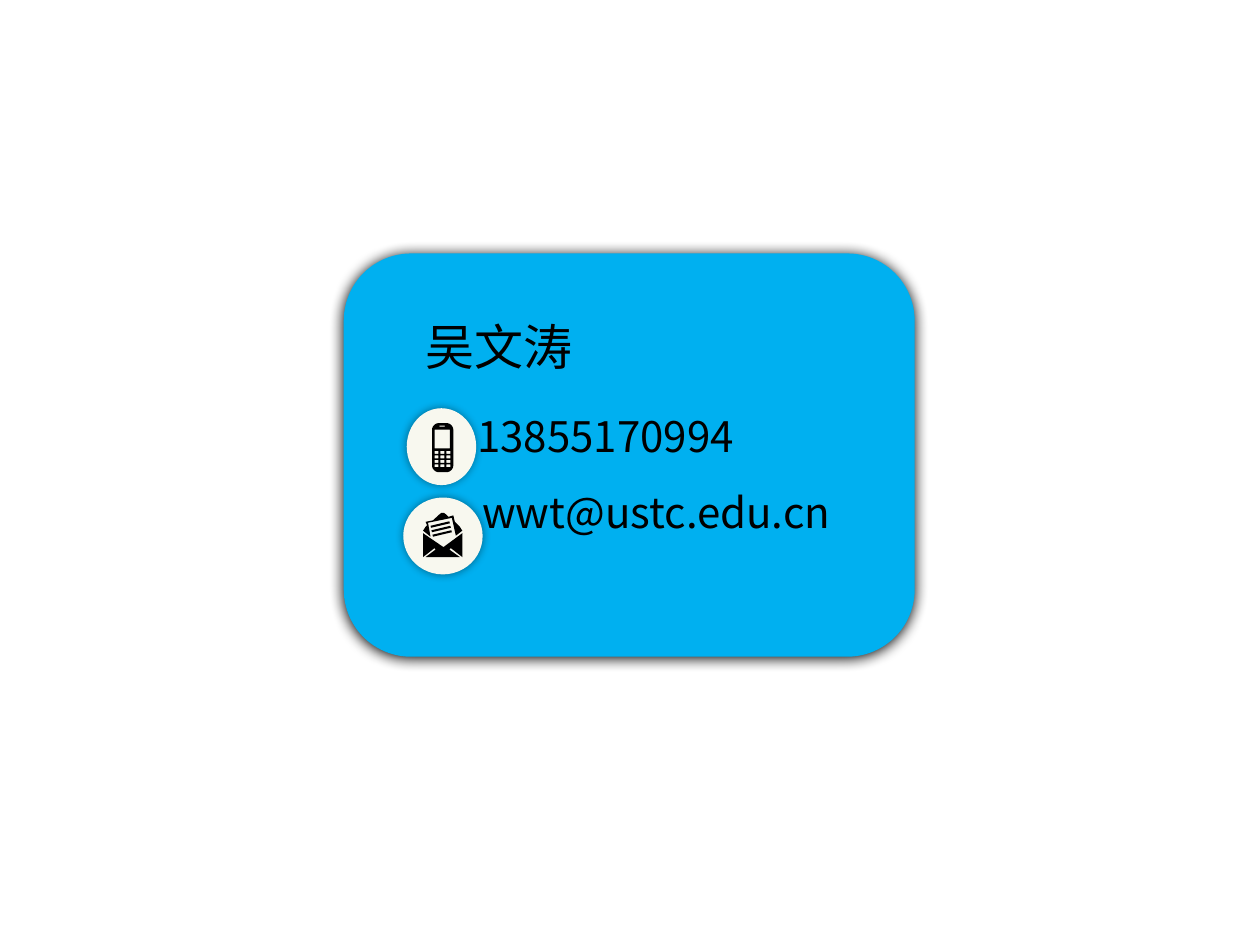
from dataclasses import dataclass
from math import cos, pi, sin

from lxml.etree import SubElement
from pptx import Presentation
from pptx.dml.color import RGBColor as Rgb
from pptx.enum.shapes import MSO_SHAPE as Preset
from pptx.enum.text import MSO_ANCHOR as Anchor, MSO_AUTO_SIZE as AutoSize, PP_ALIGN as Align
from pptx.oxml.ns import qn
from pptx.util import Cm, Pt


@dataclass(frozen=True)
class Theme:
    font: str = "Noto Sans CJK SC"
    card: str = "00B0F0"
    badge: str = "F8F8EF"
    ink: str = "000000"
    name_size: int = 28
    contact_size: int = 24


THEME = Theme()
SLIDE_SIZE = (25.4, 19.05)
CARD = (6.93, 5.11, 11.51, 8.13)
CARD_SHADOW = {"alpha": 100, "blur": 8.5, "distance": 1, "angle": 90}
BADGE_SHADOW = {"alpha": 40, "blur": 5, "distance": 0, "angle": 0}
DETAILS = (8.33, 5.82, 9.12, 6.35)
LINES = [
    {"text": "吴文涛", "size": THEME.name_size, "before": 0, "left": 0},
    {"text": "13855170994", "size": THEME.contact_size, "before": 20, "left": 1.04},
    {"text": "wwt@ustc.edu.cn", "size": THEME.contact_size, "before": 14.5, "left": 1.14},
]

ENVELOPE_FRONT = [
    (0.41, 0.69), (0.79, 0.41), (0.79, 0.89), (0.56, 0.71), (0.53, 0.74), (0.74, 0.89),
    (0.05, 0.89), (0.25, 0.74), (0.23, 0.71), (0, 0.89), (0, 0.41),
]
ENVELOPE_BACK = [
    (0.74, 0.28), (0.64, 0.18), (0.61, 0.05), (0.51, 0.08), (0.46, 0.03), (0.42, 0),
    (0.37, 0), (0.33, 0.03), (0.2, 0.15), (0.05, 0.18), (0.08, 0.25), (0.05, 0.28),
    (0, 0.36), (0.15, 0.48), (0.1, 0.2), (0.58, 0.1), (0.66, 0.46), (0.79, 0.36),
]


def rectangle(left, top, width, height):
    right, bottom = left + width, top + height
    return [(left, top), (right, top), (right, bottom), (left, bottom)]


def rounded_rectangle(width, height, radius, steps=6):
    centers = [(width - radius, height - radius), (radius, height - radius),
               (radius, radius), (width - radius, radius)]
    return [
        (x + radius * cos(angle), y + radius * sin(angle))
        for corner, (x, y) in enumerate(centers)
        for angle in ((corner + step / steps) * pi / 2 for step in range(steps + 1))
    ]


def letter_line(row):
    x, y = 0.15 + 0.02 * row, 0.26 + 0.09 * row
    return [(x, y), (x + 0.01, y + 0.04), (x + 0.39, y - 0.05), (x + 0.38, y - 0.09)]


ENVELOPE = [ENVELOPE_FRONT, ENVELOPE_BACK] + [letter_line(row) for row in range(3)]
PHONE = [
    rounded_rectangle(0.43, 0.99, 0.14),
    rectangle(0.15, 0.05, 0.11, 0.02),
    rectangle(0.05, 0.13, 0.31, 0.38),
] + [
    rectangle(0.05 + 0.12 * column, 0.56 + 0.09 * row, 0.08, 0.06)
    for row in range(4) for column in range(3)
]
BADGES = [
    {"circle": (8.13, 10.03, 1.6, 1.55), "icon_at": (8.53, 10.34), "icon": ENVELOPE},
    {"circle": (8.2, 8.23, 1.4, 1.55), "icon_at": (8.71, 8.53), "icon": PHONE},
]


def paint(shape, color):
    shape.shadow.inherit = False
    shape.fill.solid()
    shape.fill.fore_color.rgb = Rgb.from_string(color)
    shape.line.fill.background()


def add_shadow(shape, alpha, blur, distance, angle):
    effects = shape._element.spPr.find(qn("a:effectLst"))
    shadow = SubElement(effects, qn("a:outerShdw"), blurRad=str(Pt(blur)),
                        dist=str(Pt(distance)), dir=str(angle * 60000),
                        algn="ctr", rotWithShape="0")
    color = SubElement(shadow, qn("a:srgbClr"), val=THEME.ink)
    SubElement(color, qn("a:alpha"), val=str(alpha * 1000))


def add_preset(shapes, preset, frame, color, shadow):
    shape = shapes.add_shape(preset, *map(Cm, frame))
    paint(shape, color)
    add_shadow(shape, **shadow)


def add_icon(shapes, origin, contours):
    outlines = [[(Cm(origin[0] + x), Cm(origin[1] + y)) for x, y in contour]
                for contour in contours]
    builder = shapes.build_freeform(*outlines[0][0])
    for index, outline in enumerate(outlines):
        if index:
            builder.move_to(*outline[0])
        builder.add_line_segments(outline[1:], close=True)
    paint(builder.convert_to_shape(), THEME.ink)


def add_badge(slide, circle, icon_at, icon):
    group = slide.shapes.add_group_shape()
    add_preset(group.shapes, Preset.OVAL, circle, THEME.badge, BADGE_SHADOW)
    add_icon(group.shapes, icon_at, icon)


def write_line(para, text, size, before, left):
    properties = para._p.get_or_add_pPr()
    properties.set("marL", str(Cm(left)))
    properties.set("indent", "0")
    SubElement(properties, qn("a:buNone"))
    layout = {"alignment": Align.LEFT, "line_spacing": 1.0,
              "space_before": Pt(before), "space_after": Pt(0)}
    for key, value in layout.items():
        setattr(para, key, value)
    span = para.add_run()
    span.text = text
    for key, value in {"name": THEME.font, "size": Pt(size)}.items():
        setattr(span.font, key, value)
    span.font.color.rgb = Rgb.from_string(THEME.ink)
    SubElement(span._r.get_or_add_rPr(), qn("a:ea"), typeface=THEME.font)


def fill_details(box):
    for key, value in zip(("left", "top", "width", "height"), DETAILS):
        setattr(box, key, Cm(value))
    frame = box.text_frame
    settings = {"word_wrap": True, "auto_size": AutoSize.NONE,
                "vertical_anchor": Anchor.TOP, "margin_left": Cm(0.25),
                "margin_right": Cm(0.25), "margin_top": Cm(0.56), "margin_bottom": Cm(0.13)}
    for key, value in settings.items():
        setattr(frame, key, value)
    for index, line in enumerate(LINES):
        write_line(frame.add_paragraph() if index else frame.paragraphs[0], **line)


def main():
    deck = Presentation()
    deck.slide_width, deck.slide_height = map(Cm, SLIDE_SIZE)
    slide = deck.slides.add_slide(deck.slide_layouts[1])
    title, details = slide.shapes.title, slide.placeholders[1]
    tree = title._element.getparent()
    tree.remove(title._element)
    add_preset(slide.shapes, Preset.ROUNDED_RECTANGLE, CARD, THEME.card, CARD_SHADOW)
    tree.append(details._element)
    fill_details(details)
    for badge in BADGES:
        add_badge(slide, **badge)
    deck.save("out.pptx")


if __name__ == "__main__":
    main()
